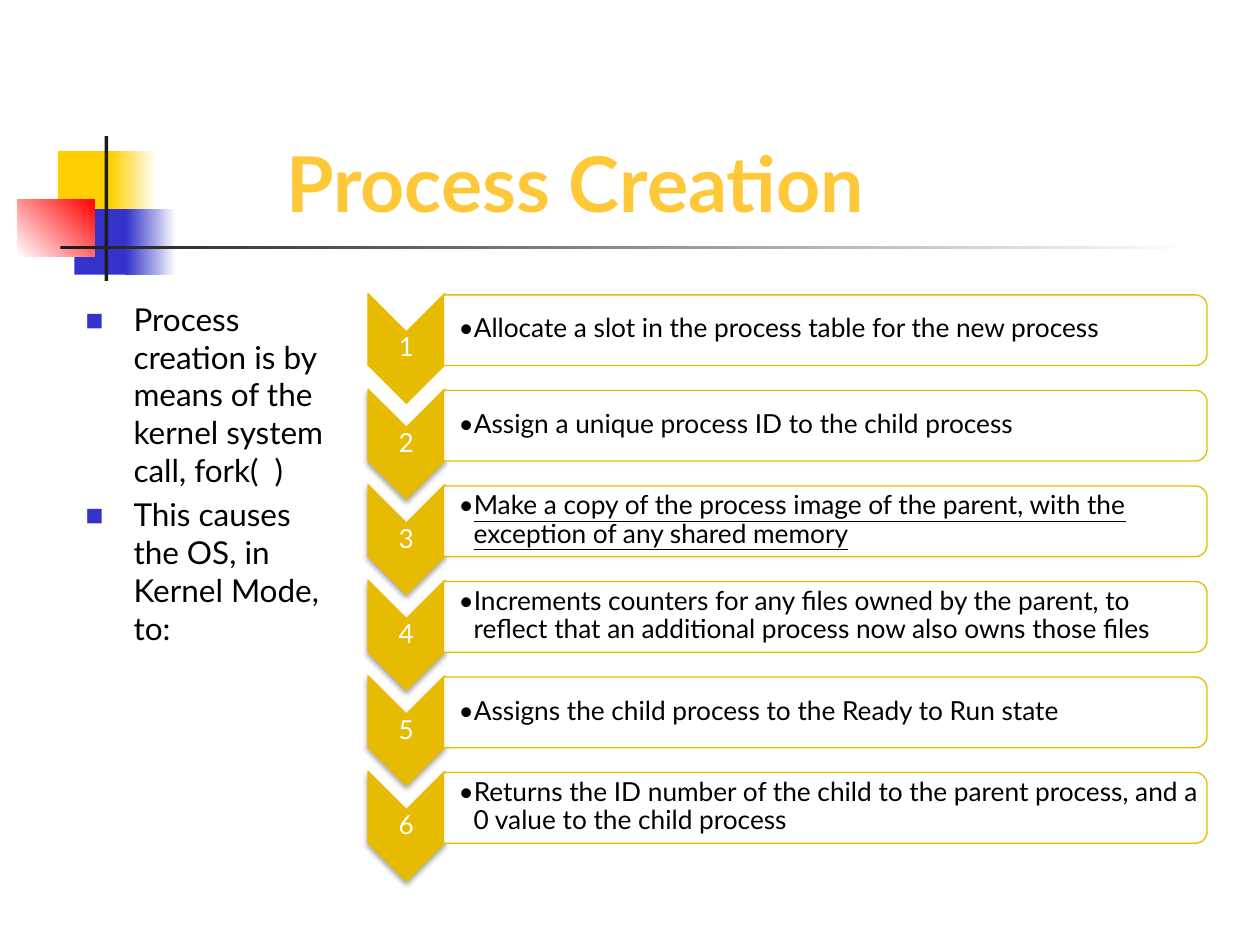
import pptx
import pptx.util
import pptx.dml.color
import pptx.enum.shapes
import pptx.enum.text
import pptx.oxml
import pptx.oxml.ns

Pt = pptx.util.Pt
RGBColor = pptx.dml.color.RGBColor
SHAPE = pptx.enum.shapes.MSO_SHAPE
ANCHOR = pptx.enum.text.MSO_ANCHOR
ALIGN = pptx.enum.text.PP_ALIGN
qn = pptx.oxml.ns.qn

WHITE = RGBColor(0xFF, 0xFF, 0xFF)
BLACK = RGBColor(0x00, 0x00, 0x00)
INK = RGBColor(0x1C, 0x1C, 0x1C)
YELLOW = RGBColor(0xFF, 0xCF, 0x01)
BLUE = RGBColor(0x33, 0x33, 0xCC)
RED = RGBColor(0xFF, 0x00, 0x00)
GOLD = RGBColor(0xE7, 0xBB, 0x01)
TITLE_GOLD = RGBColor(0xFF, 0xC8, 0x38)

FONT = "Lato"
COLS, ROWS = 100, 75
UNIT = pptx.util.Inches(10) / COLS

TITLE = "Process Creation"
POINTS = [
    "Process creation is by means of the kernel system call, fork(  )",
    "This causes the OS, in Kernel Mode, to:",
]
STEPS = [
    "Allocate a slot in the process table for the new process",
    "Assign a unique process ID to the child process",
    "Make a copy of the process image of the parent, with the exception of any shared memory",
    "Increments counters for any files owned by the parent, to reflect that an additional "
    "process now also owns those files",
    "Assigns the child process to the Ready to Run state",
    "Returns the ID number of the child to the parent process, and a 0 value to the child process",
]
UNDERLINED_STEP = 3


def emu(*cells):
    return [round(c * UNIT) for c in cells]


def add_xml(parent, tag, **attrs):
    el = pptx.oxml.parse_xml(f'<{tag} {pptx.oxml.ns.nsdecls("a")}/>')
    for name, value in attrs.items():
        el.set(name, str(value))
    parent.append(el)
    return el


def add_bullet(p, char, indent, color=None, percent=100):
    pPr = p._p.get_or_add_pPr()
    pPr.set("marL", str(emu(indent)[0]))
    pPr.set("indent", str(-emu(indent)[0]))
    if color is not None:
        add_xml(add_xml(pPr, "a:buClr"), "a:srgbClr", val=color)
    add_xml(pPr, "a:buSzPct", val=percent * 1000)
    add_xml(pPr, "a:buFont", typeface=FONT)
    add_xml(pPr, "a:buChar", char=char)


def add_text(p, text, size=15, color=BLACK, bold=False, underline=False,
             align=ALIGN.LEFT, spacing=None, before=0):
    p.alignment = align
    p.space_before = Pt(before)
    p.space_after = Pt(0)
    if spacing:
        p.line_spacing = spacing
    r = p.add_run()
    r.text = text
    f = r.font
    f.name, f.size, f.bold, f.underline = FONT, Pt(size), bold, underline
    f.color.rgb = color


def add_box(shapes, box, inset):
    tf = shapes.add_textbox(*emu(*box)).text_frame
    tf.word_wrap = True
    tf.vertical_anchor = ANCHOR.MIDDLE
    tf.margin_top, tf.margin_right, tf.margin_bottom = emu(0.1, 0.1, 0.1)
    tf.margin_left = emu(inset)[0]
    return tf.paragraphs[0]


def add_filled(shapes, kind, box, color, fade_to=None, angle=0, line=None):
    sp = shapes.add_shape(kind, *emu(*box))
    sp.shadow.inherit = False
    if fade_to is None:
        sp.fill.solid()
        sp.fill.fore_color.rgb = color
    else:
        sp.fill.gradient()
        sp.fill.gradient_angle = angle
        for stop, rgb in zip(sp.fill.gradient_stops, (color, fade_to)):
            stop.color.rgb = rgb
    if line is None:
        sp.line.fill.background()
    else:
        sp.line.color.rgb = line
        sp.line.width = Pt(0.75)
    return sp


def add_turned(shapes, kind, box, color):
    x, y, w, h = box
    sp = add_filled(shapes, kind, (x + (w - h) / 2, y + (h - w) / 2, h, w), color, line=GOLD)
    sp.rotation = 90
    return sp


def add_drop_shadow(sp):
    effects = sp._element.spPr.find(qn("a:effectLst"))
    shadow = add_xml(effects, "a:outerShdw", blurRad=Pt(3.1), dist=Pt(1.8),
                     dir=90 * 60000, rotWithShape=0)
    add_xml(add_xml(shadow, "a:srgbClr", val=BLACK), "a:alpha", val=35000)


def draw_emblem(shapes, x, y, rule_width):
    parts = [
        ((3.2, 1.2, 4.8, 5.2), YELLOW, None, 0),
        ((7.4, 1.2, 3.6, 5.2), YELLOW, WHITE, 0),
        ((4.5, 5.8, 4.6, 5.2), BLUE, None, 0),
        ((8.6, 5.8, 4, 5.2), BLUE, WHITE, 0),
        ((0, 5, 6.1, 4.6), WHITE, RED, 45),
        ((6.9, 0, 0.3, 11.5), INK, None, 0),
        ((3.4, 8.7, rule_width, 0.3), INK, WHITE, 0),
    ]
    for (dx, dy, w, h), color, fade_to, angle in parts:
        add_filled(shapes, SHAPE.RECTANGLE, (x + dx, y + dy, w, h), color, fade_to, angle)


def fill_placeholder(sp, box, anchor):
    sp.left, sp.top, sp.width, sp.height = emu(*box)
    tf = sp.text_frame
    tf.auto_size = pptx.enum.text.MSO_AUTO_SIZE.NONE
    tf.word_wrap = True
    tf.vertical_anchor = anchor
    return tf


def draw_title(sp, box):
    tf = fill_placeholder(sp, box, ANCHOR.BOTTOM)
    add_text(tf.paragraphs[0], TITLE, size=44, color=TITLE_GOLD, bold=True)


def draw_points(sp, box):
    tf = fill_placeholder(sp, box, ANCHOR.TOP)
    for i, point in enumerate(POINTS):
        p = tf.add_paragraph() if i else tf.paragraphs[0]
        add_text(p, point, size=18, before=3.6)
        add_bullet(p, "■", 3.8, BLUE, 60)


def draw_step(shapes, box, number, text):
    x, y, w, h = box
    arrow_w, arrow_h = 6.1, 1.15 * h
    card_x, card_w = x + arrow_w - 0.1, w - arrow_w + 0.1
    arrow = add_turned(shapes, SHAPE.CHEVRON, (x, y, arrow_w, arrow_h), GOLD)
    if number > 1:
        add_drop_shadow(arrow)
    p = add_box(shapes, (x, y + arrow_w / 2, arrow_w, arrow_h - arrow_w), 0.1)
    add_text(p, str(number), color=WHITE, align=ALIGN.CENTER, spacing=0.9)
    card = add_turned(shapes, SHAPE.ROUND_2_SAME_RECTANGLE,
                      (card_x, y + 0.1, card_w, 0.74 * h), WHITE)
    add_xml(card._element.spPr.find(qn("a:solidFill"))[0], "a:alpha", val=90000)
    p = add_box(shapes, (card_x, y + 0.3, card_w - 0.3, 0.67 * h), 1.2)
    add_text(p, text, underline=number == UNDERLINED_STEP, spacing=0.9)
    add_bullet(p, "•", 1.2)


def draw_steps(shapes, box):
    x, y, w, h = box
    row = h / len(STEPS)
    group = shapes.add_group_shape()
    for i, text in enumerate(STEPS):
        draw_step(group.shapes, (x, y + i * row, w, row), i + 1, text)


def main():
    prs = pptx.Presentation()
    prs.slide_width, prs.slide_height = emu(COLS, ROWS)
    s = prs.slides.add_slide(prs.slide_layouts[1])
    draw_emblem(s.shapes, 1.4, 10.8, 90)
    draw_title(s.shapes.title, (21.7, 3.6, 64.2, 15))
    draw_points(s.placeholders[1], (5.8, 23.3, 21.3, 38.6))
    draw_steps(s.shapes, (29.2, 23.3, 66.6, 45.5))
    prs.save("out.pptx")


if __name__ == "__main__":
    main()
